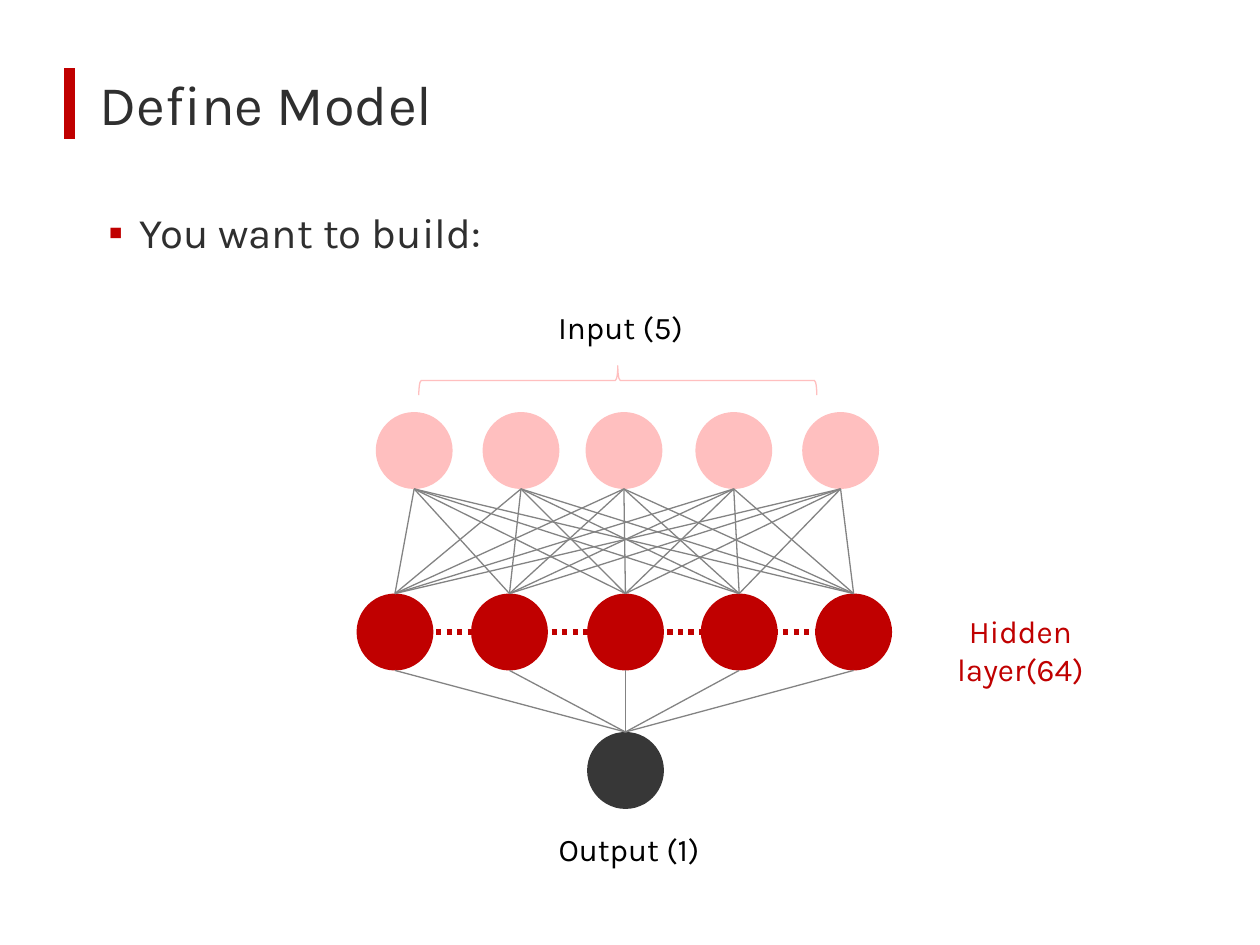
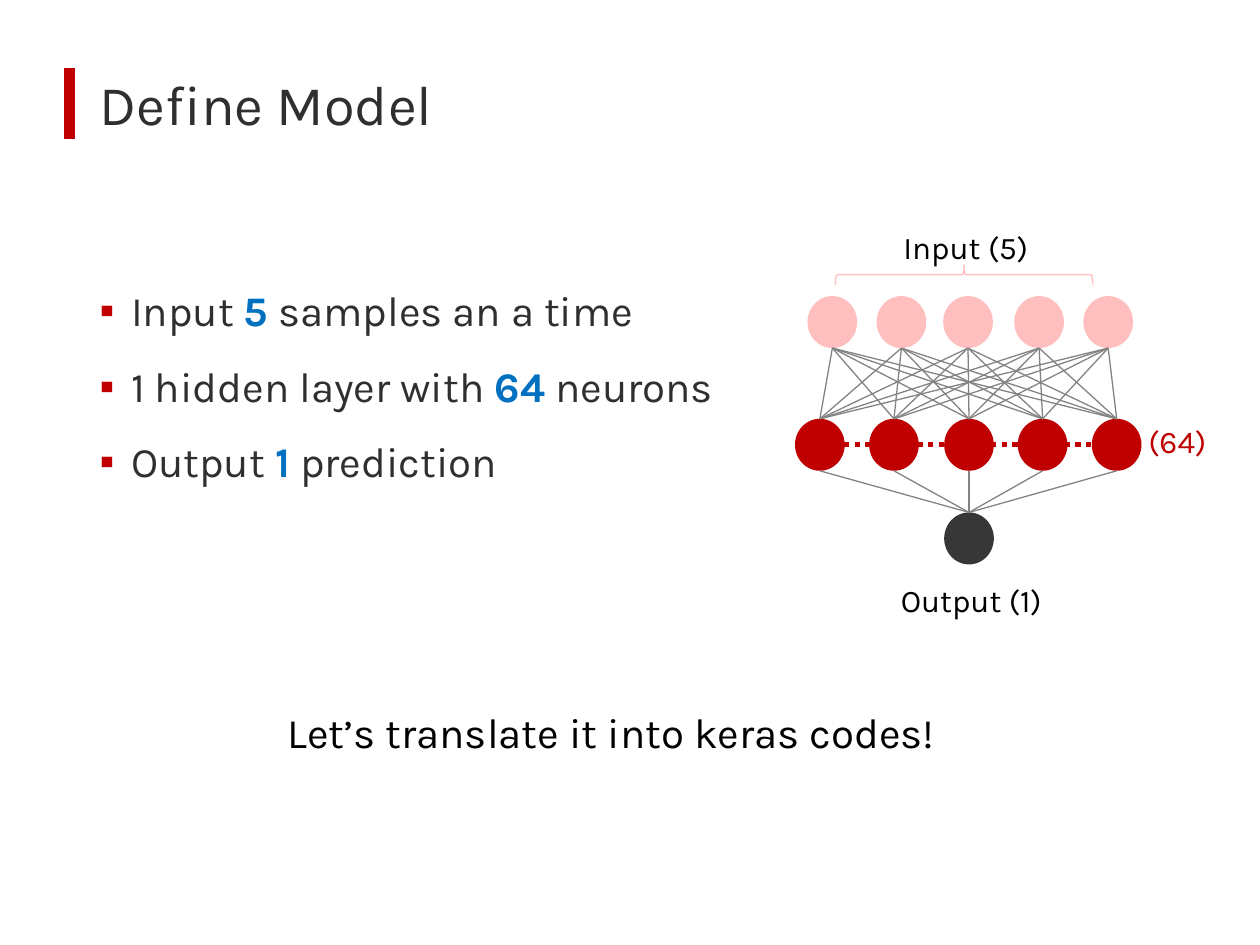
"""Build two slides that define a small neural network model."""
import dataclasses
import itertools

import lxml.etree
import pptx
import pptx.dml.color
import pptx.enum.dml
import pptx.enum.shapes
import pptx.enum.text
import pptx.oxml.ns
import pptx.util

ALIGN = pptx.enum.text.PP_ALIGN
ANCHOR = pptx.enum.text.MSO_ANCHOR
FIT = pptx.enum.text.MSO_AUTO_SIZE
SHAPE = pptx.enum.shapes.MSO_SHAPE


@dataclasses.dataclass(frozen=True)
class Theme:
    font: str = "Karla"
    accent: str = "C00000"
    pale: str = "FFBFBF"
    dark: str = "373737"
    edge: str = "838383"
    ink: str = "2F2F2F"
    black: str = "000000"
    highlight: str = "0070C0"
    title_size: int = 32
    body_size: int = 24
    label_size: int = 18
    bar_width: float = 6
    dots_width: float = 3
    thin_width: float = 0.75


@dataclasses.dataclass(frozen=True)
class Grid:
    left: float
    top: float
    width: float
    height: float
    columns: float
    rows: float

    def point(self, column, row):
        return (pptx.util.Inches(self.left + column * self.width / self.columns),
                pptx.util.Inches(self.top + row * self.height / self.rows))

    def box(self, column, row, columns, rows):
        left, top = self.point(column, row)
        right, bottom = self.point(column + columns, row + rows)
        return left, top, right - left, bottom - top


PAGE = Grid(0, 0, 10, 7.5, 100, 75)
NODE_COLUMNS, NODE_ROWS = 6.97, 5.16
INPUT_COLUMNS = (0.25, 1.64, 2.98, 4.41, 5.8)
HIDDEN_COLUMNS = (0, 1.49, 3, 4.48, 5.97)
OUTPUT_COLUMN = 3
INPUT_ROW, HIDDEN_ROW, OUTPUT_ROW = 0, 2.36, 4.16


class Deck:
    def __init__(self, theme):
        self.theme = theme
        self.presentation = pptx.Presentation()
        self.presentation.slide_width = pptx.util.Inches(PAGE.width)
        self.presentation.slide_height = pptx.util.Inches(PAGE.height)
        self.slide = self.canvas = None

    def new_slide(self, title):
        self.slide = self.presentation.slides.add_slide(self.presentation.slide_layouts[1])
        self.canvas = self.slide.shapes
        self.line(PAGE.point(5.5, 5.4), PAGE.point(5.5, 11), self.theme.accent, self.theme.bar_width)
        frame = self.place(self.slide.shapes.title, PAGE.box(6.9, 5, 86.2, 7.1), (0.1, 0, 0, 0), ANCHOR.MIDDLE)
        paragraph = frame.paragraphs[0]
        paragraph.alignment = ALIGN.LEFT
        paragraph.line_spacing = 0.9
        self.run(paragraph, title, self.theme.title_size, self.theme.ink)

    def place(self, holder, box, insets=(0.1, 0.05, 0.1, 0.05), anchor=ANCHOR.TOP, fit=FIT.NONE):
        holder.left, holder.top, holder.width, holder.height = box
        frame = holder.text_frame
        frame.word_wrap = True
        frame.auto_size = fit
        frame.vertical_anchor = anchor
        (frame.margin_left, frame.margin_top,
         frame.margin_right, frame.margin_bottom) = map(pptx.util.Inches, insets)
        return frame

    def run(self, paragraph, text, size, color, bold=False):
        run = paragraph.add_run()
        run.text = text
        run.font.name = self.theme.font
        run.font.size = pptx.util.Pt(size)
        run.font.bold = bold
        run.font.color.rgb = pptx.dml.color.RGBColor.from_string(color)

    def bullets(self, box, items):
        frame = self.place(self.slide.placeholders[1], box)
        for index, item in enumerate(items):
            paragraph = frame.add_paragraph() if index else frame.paragraphs[0]
            self.bullet_mark(paragraph)
            paragraph.line_spacing = 1.5
            paragraph.space_before = pptx.util.Pt(0)
            for position, text in enumerate(item):
                strong = position % 2 == 1
                color = self.theme.highlight if strong else self.theme.ink
                self.run(paragraph, text, self.theme.body_size, color, strong)

    def bullet_mark(self, paragraph):
        qn = pptx.oxml.ns.qn
        properties = paragraph._p.get_or_add_pPr()
        indent = pptx.util.Inches(0.25)
        properties.set("marL", str(indent))
        properties.set("indent", str(-indent))
        color = lxml.etree.SubElement(properties, qn("a:buClr"))
        lxml.etree.SubElement(color, qn("a:srgbClr"), val=self.theme.accent)
        lxml.etree.SubElement(properties, qn("a:buChar"), char="▪")

    def label(self, text, box, color, size):
        frame = self.place(self.canvas.add_textbox(*box), box, fit=FIT.SHAPE_TO_FIT_TEXT)
        frame.paragraphs[0].alignment = ALIGN.CENTER
        self.run(frame.paragraphs[0], text, size, color)

    def line(self, start, end, color, width, dotted=False):
        connector = self.canvas.add_connector(pptx.enum.shapes.MSO_CONNECTOR.STRAIGHT, *start, *end)
        connector.line.color.rgb = pptx.dml.color.RGBColor.from_string(color)
        connector.line.width = pptx.util.Pt(width)
        if dotted:
            connector.line.dash_style = pptx.enum.dml.MSO_LINE.ROUND_DOT
        lxml.etree.SubElement(connector._element.spPr, pptx.oxml.ns.qn("a:effectLst"))

    def node(self, box, color):
        node = self.canvas.add_shape(SHAPE.OVAL, *box)
        node.shadow.inherit = False
        node.fill.solid()
        node.fill.fore_color.rgb = pptx.dml.color.RGBColor.from_string(color)
        node.line.fill.background()

    def top_brace(self, box):
        left, top, span, depth = box
        brace = self.canvas.add_shape(
            SHAPE.LEFT_BRACE, left + (span - depth) // 2, top + (depth - span) // 2, depth, span)
        brace.rotation = 90
        brace.adjustments[0] = 0.083
        brace.shadow.inherit = False
        brace.fill.background()
        brace.line.color.rgb = pptx.dml.color.RGBColor.from_string(self.theme.pale)
        brace.line.width = pptx.util.Pt(self.theme.thin_width)

    def network(self, grid, hidden_text, hidden_column, hidden_row):
        theme = self.theme
        self.canvas = self.slide.shapes.add_group_shape().shapes
        middle = HIDDEN_ROW + 0.5
        self.line(grid.point(0.35, middle), grid.point(6.55, middle), theme.accent, theme.dots_width, True)
        layers = ((INPUT_COLUMNS, INPUT_ROW, theme.pale),
                  (HIDDEN_COLUMNS, HIDDEN_ROW, theme.accent),
                  ((OUTPUT_COLUMN,), OUTPUT_ROW, theme.dark))
        for columns, row, color in layers:
            for column in columns:
                self.node(grid.box(column, row, 1, 1), color)
        for (sources, upper, _), (targets, lower, _) in itertools.pairwise(layers):
            for source, target in itertools.product(sources, targets):
                self.line(grid.point(source + 0.5, upper + 1), grid.point(target + 0.5, lower),
                          theme.edge, theme.thin_width)
        self.top_brace(grid.box(0.81, -0.6, 5.18, 0.38))
        self.label("Input (5)", grid.box(1.41, -1.43, 4.05, 0.85), theme.black, theme.label_size)
        self.label("Output (1)", grid.box(1.52, 5.36, 4.05, 0.85), theme.black, theme.label_size)
        self.label(hidden_text, grid.box(hidden_column, hidden_row, 3.34, 0.66),
                   theme.accent, theme.label_size)
        self.canvas = self.slide.shapes


def main():
    deck = Deck(Theme())
    deck.new_slide("Define Model")
    deck.bullets(PAGE.box(7.6, 13.9, 78, 7.1), [["You want to build:"]])
    deck.network(Grid(2.83, 3.27, 4.25, 3.15, NODE_COLUMNS, NODE_ROWS), "Hidden layer(64)", 6.97, 2.52)

    deck.new_slide("Define Model")
    deck.bullets(PAGE.box(6.9, 20.1, 52.2, 22.9), [
        ["Input ", "5", " samples an a time"],
        ["1 hidden layer with ", "64", " neurons"],
        ["Output ", "1", " prediction"],
    ])
    deck.network(Grid(6.31, 2.35, 2.75, 2.13, NODE_COLUMNS, NODE_ROWS), "(64)", 6.02, 2.3)
    deck.label("Let’s translate it into keras codes!", PAGE.box(8.4, 55.6, 80.2, 5),
               deck.theme.black, deck.theme.body_size)
    deck.presentation.save("out.pptx")


if __name__ == "__main__":
    main()
